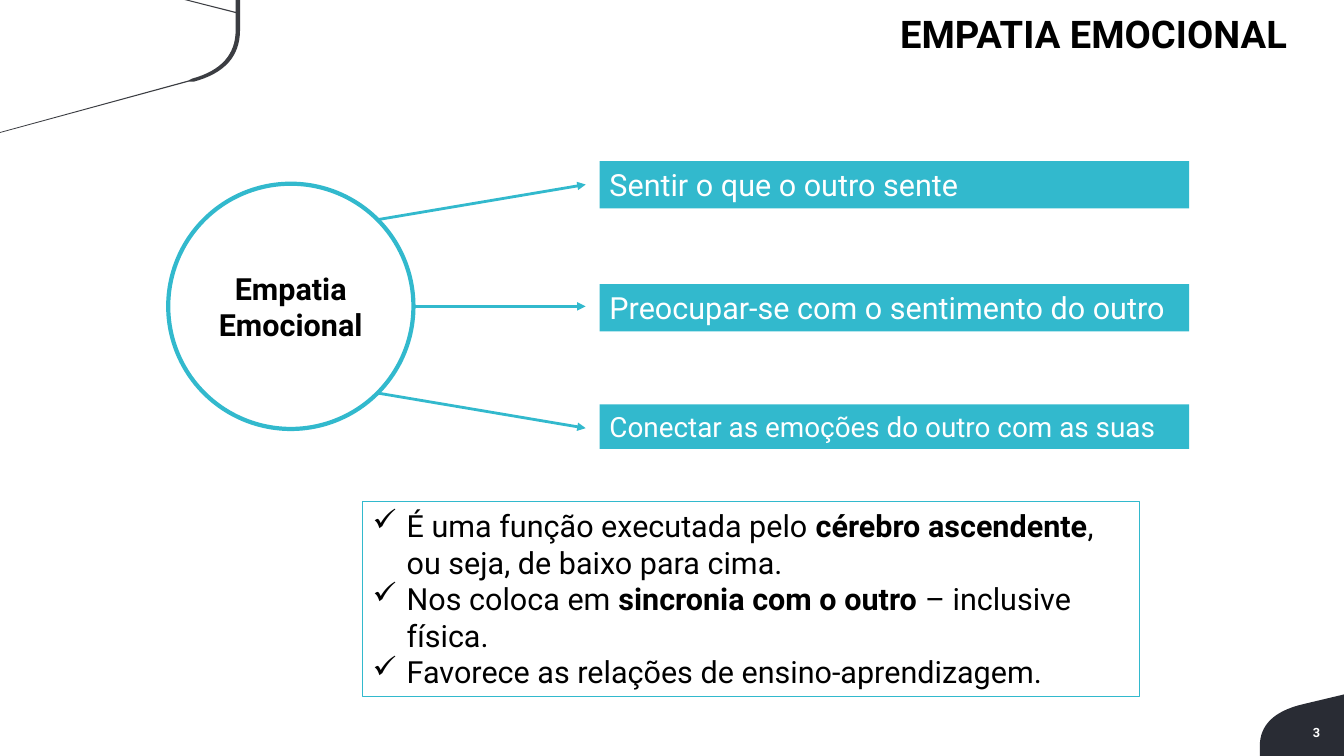
from dataclasses import dataclass
from math import cos, radians, sin

from lxml.etree import SubElement
from pptx import Presentation
from pptx.dml.color import RGBColor
from pptx.enum.shapes import MSO_CONNECTOR, MSO_SHAPE
from pptx.enum.text import MSO_ANCHOR, PP_ALIGN
from pptx.oxml.ns import qn
from pptx.util import Cm, Pt


@dataclass(frozen=True)
class Theme:
    face: str = "Roboto"
    teal: str = "32B9CD"
    dark: str = "292C34"
    gray: str = "3B3D42"
    ink: str = "000000"
    white: str = "FFFFFF"
    head: float = 27.2
    text: float = 21.8
    small: float = 19.9
    page: float = 9.1


def apply(target, values):
    for name, value in values.items():
        setattr(target, name, value)


def bend(start, pull, end, steps=16):
    marks = [step / steps for step in range(steps + 1)]
    return [
        tuple((1 - t) ** 2 * a + 2 * t * (1 - t) * b + t * t * c
              for a, b, c in zip(start, pull, end))
        for t in marks
    ]


class Board:
    def __init__(self, slide, theme):
        self.shapes = slide.shapes
        self.theme = theme

    def paint(self, shape, fill=None, line=None, width=1):
        shape.shadow.inherit = False
        if fill:
            shape.fill.solid()
            shape.fill.fore_color.rgb = RGBColor.from_string(fill)
        else:
            shape.fill.background()
        if line:
            self.stroke(shape.line, line, width)
        else:
            shape.line.fill.background()

    def stroke(self, line, color, width):
        line.color.rgb = RGBColor.from_string(color)
        line.width = Pt(width)

    def letter(self, shape, items, size, color, frame=None, para=None, bullet=None):
        body = shape.text_frame
        apply(body, {"word_wrap": True, "vertical_anchor": MSO_ANCHOR.TOP, **(frame or {})})
        for index, runs in enumerate(items):
            item = body.add_paragraph() if index else body.paragraphs[0]
            apply(item, {"alignment": PP_ALIGN.LEFT, **(para or {})})
            if bullet:
                props = item._p.get_or_add_pPr()
                indent = Cm(0.86)
                props.set("marL", str(indent))
                props.set("indent", str(-indent))
                SubElement(props, qn("a:buChar")).set("char", bullet)
            for text, bold in runs:
                run = item.add_run()
                run.text = text
                apply(run.font, {"name": self.theme.face, "size": Pt(size), "bold": bold})
                run.font.color.rgb = RGBColor.from_string(color)

    def label(self, box, text, size, color, frame=None, para=None):
        shape = self.shapes.add_textbox(*map(Cm, box))
        para = {"alignment": PP_ALIGN.RIGHT, **(para or {})}
        self.letter(shape, [[(text, True)]], size, color, frame, para)

    def block(self, kind, box, paint, text):
        shape = self.shapes.add_shape(kind, *map(Cm, box))
        self.paint(shape, **paint)
        self.letter(shape, **text)

    def outline(self, points, fill):
        first, *rest = [(Cm(x), Cm(y)) for x, y in points]
        build = self.shapes.build_freeform(*first)
        build.add_line_segments(rest, close=True)
        self.paint(build.convert_to_shape(), fill)

    def arrow(self, start, end):
        link = self.shapes.add_connector(MSO_CONNECTOR.STRAIGHT, *map(Cm, start + end))
        self.stroke(link.line, self.theme.teal, 2)
        SubElement(link.line._get_or_add_ln(), qn("a:tailEnd")).set("type", "triangle")
        SubElement(link._element.spPr, qn("a:effectLst"))


def main():
    deck = Presentation()
    apply(deck, {"slide_width": Cm(33.87), "slide_height": Cm(19.05)})
    theme = Theme()
    board = Board(deck.slides.add_slide(deck.slide_layouts[6]), theme)

    board.outline(
        [(33.87, 17.5), *bend((32.82, 17.75), (31.75, 18.01), (31.75, 18.8)),
         (31.75, 19.05), (33.87, 19.05)],
        theme.dark,
    )
    board.outline(
        [(0, 3.35), (4.75, 2.06), *bend((4.88, 2.06), (6.05, 1.75), (6.05, 0.76)),
         (6.05, 0), (5.94, 0), (5.94, 0.3), (4.75, 0), (4.65, 0), (5.94, 0.33),
         *bend((5.94, 0.76), (5.94, 1.68), (4.85, 1.98)), (4.75, 2.03), (0, 3.33)],
        theme.gray,
    )

    thin = {"margin_left": Cm(0.05), "margin_right": Cm(0.05),
            "margin_top": Cm(0.03), "margin_bottom": Cm(0.03)}
    board.label((31.75, 18.24, 1.57, 0.53), "3", theme.page, theme.white, thin)
    board.label((7.14, 0.28, 25.55, 1.93), "EMPATIA EMOCIONAL", theme.head, theme.ink,
                para={"line_spacing": 0.9})

    mid_x, mid_y, radius = 7.33, 7.72, 3.09
    board.block(
        MSO_SHAPE.OVAL,
        (mid_x - radius, mid_y - radius, 2 * radius, 2 * radius),
        {"line": theme.teal, "width": 3},
        {"items": [[("Empatia Emocional", True)]], "size": theme.text, "color": theme.ink,
         "frame": {"vertical_anchor": MSO_ANCHOR.MIDDLE},
         "para": {"alignment": PP_ALIGN.CENTER}},
    )

    bars = [
        (-1, 4.06, 1.19, theme.text, "Sentir o que o outro sente"),
        (0, 7.16, 1.19, theme.text, "Preocupar-se com o sentimento do outro"),
        (1, 10.19, 1.12, theme.small, "Conectar as emoções do outro com as suas"),
    ]
    for side, top, height, size, text in bars:
        angle = radians(45 * side)
        start = (mid_x + radius * cos(angle), mid_y + radius * sin(angle))
        board.arrow(start, (14.76, mid_y + 3.07 * side))
        board.block(
            MSO_SHAPE.RECTANGLE, (15.11, top, 14.86, height), {"fill": theme.teal},
            {"items": [[(text, False)]], "size": size, "color": theme.white},
        )

    notes = [
        [("É uma função executada pelo ", False), ("cérebro ascendente", True),
         (", ou seja, de baixo para cima.", False)],
        [("Nos coloca em ", False), ("sincronia com o outro ", True),
         ("– inclusive física.", False)],
        [("Favorece as relações de ensino-aprendizagem.", False)],
    ]
    board.block(
        MSO_SHAPE.RECTANGLE, (9.14, 12.65, 19.58, 4.9),
        {"line": theme.teal, "width": 0.75},
        {"items": notes, "size": theme.text, "color": theme.ink, "bullet": "✓"},
    )
    deck.save("out.pptx")


if __name__ == "__main__":
    main()
